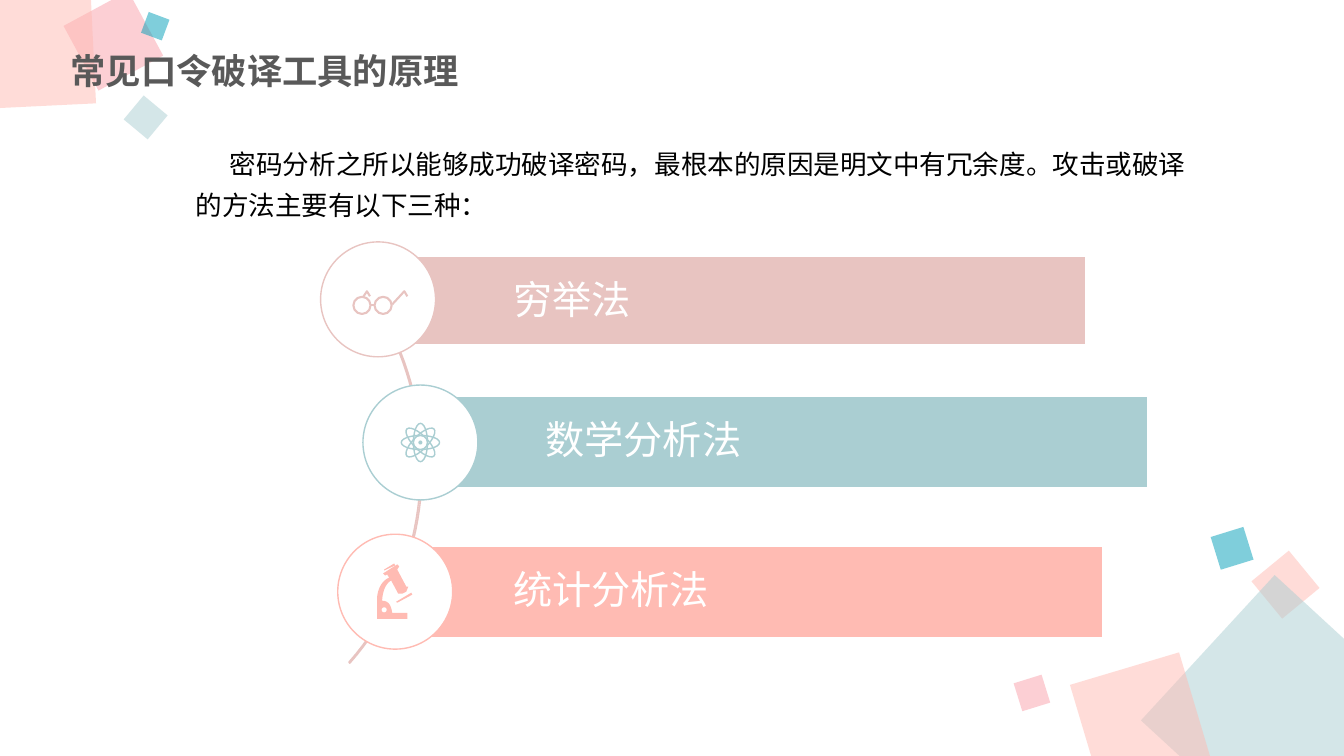
from lxml.etree import SubElement
from pptx import Presentation
from pptx.dml.color import RGBColor
from pptx.enum.shapes import MSO_CONNECTOR, MSO_SHAPE
from pptx.enum.text import MSO_ANCHOR
from pptx.oxml.ns import qn
from pptx.util import Inches, Pt

COLORS = {
    "rose": "E8C4C1", "teal": "AACED2", "coral": "FFBBB3", "pink": "FAA0AA",
    "blue": "009FB8", "title": "595959", "black": "000000", "white": "FFFFFF",
}


class SlidePainter:
    """Draws styled elements on one slide, with lengths in inches."""

    font = "Noto Sans CJK SC"

    def __init__(self, slide):
        self.shapes = slide.shapes

    def rgb(self, color):
        return RGBColor.from_string(COLORS[color])

    def paint(self, shape, fill=None, line=None, weight=1.0):
        shape.shadow.inherit = False
        if fill:
            shape.fill.solid()
            shape.fill.fore_color.rgb = self.rgb(fill)
        else:
            shape.fill.background()
        if line:
            shape.line.color.rgb = self.rgb(line)
            shape.line.width = Pt(weight)
        else:
            shape.line.fill.background()
        return shape

    def box(self, kind, left, top, width, height, fill=None, line=None, weight=1.0, turn=0):
        shape = self.shapes.add_shape(
            kind, Inches(left), Inches(top), Inches(width), Inches(height))
        shape.rotation = turn
        return self.paint(shape, fill, line, weight)

    def disc(self, x, y, radius, fill=None, line=None, weight=1.0):
        return self.box(MSO_SHAPE.OVAL, x - radius, y - radius,
                        2 * radius, 2 * radius, fill, line, weight)

    def confetti(self, left, top, side, turn, color):
        square = self.box(MSO_SHAPE.RECTANGLE, left, top, side, side, color, turn=turn)
        tint = square.fill._xPr.find(qn("a:solidFill"))[0]
        SubElement(tint, qn("a:alpha"), val="50000")

    def outline(self, points, fill=None, line=None, weight=1.0, close=True):
        corners = [(Inches(x), Inches(y)) for x, y in points]
        builder = self.shapes.build_freeform(*corners[0])
        builder.add_line_segments(corners[1:], close=close)
        return self.paint(builder.convert_to_shape(), fill, line, weight)

    def stroke(self, start, end, color, weight):
        line = self.shapes.add_connector(
            MSO_CONNECTOR.STRAIGHT, *(Inches(v) for v in (*start, *end)))
        line.line.color.rgb = self.rgb(color)
        line.line.width = Pt(weight)
        SubElement(line._element.spPr, qn("a:effectLst"))

    def text(self, words, left, top, width, height, size, color,
             spacing=1.3, bold=False, anchor=MSO_ANCHOR.TOP, indent=0):
        frame = self.shapes.add_textbox(
            Inches(left), Inches(top), Inches(width), Inches(height)).text_frame
        frame.word_wrap = True
        frame.vertical_anchor = anchor
        frame.margin_left = frame.margin_right = Inches(0.05)
        frame.margin_top = frame.margin_bottom = Inches(0.05)
        frame.text = words
        paragraph = frame.paragraphs[0]
        paragraph.line_spacing = spacing
        if indent:
            paragraph._p.get_or_add_pPr().set("indent", str(Inches(indent)))
        font = paragraph.runs[0].font
        font.name = self.font
        font.size = Pt(size)
        font.bold = bold
        font.color.rgb = self.rgb(color)
        SubElement(font._element, qn("a:ea"), typeface=self.font)


def bezier(start, pull_a, pull_b, end, steps=12):
    weights = [((1 - t) ** 3, 3 * t * (1 - t) ** 2, 3 * t * t * (1 - t), t ** 3)
               for t in (i / steps for i in range(steps + 1))]
    return [tuple(sum(w * p[axis] for w, p in zip(row, (start, pull_a, pull_b, end)))
                  for axis in (0, 1)) for row in weights]


def draw_glasses(painter, color):
    for lens_x in (3.59, 3.8):
        painter.disc(lens_x, 3.03, 0.085, line=color, weight=1.5)
    painter.stroke((3.68, 3.03), (3.71, 3.03), color, 1.5)
    for temple in ([(3.6, 2.95), (3.64, 2.89), (3.67, 2.94)],
                   [(3.89, 3.02), (4.01, 2.89), (4.04, 2.94)]):
        painter.outline(temple, line=color, weight=1.5, close=False)


def draw_atom(painter, color):
    for turn in range(0, 180, 45):
        painter.box(MSO_SHAPE.OVAL, 3.98, 4.32, 0.38, 0.14, line=color, turn=turn)
    painter.disc(4.17, 4.39, 0.07, fill="white", line=color)
    painter.disc(4.17, 4.39, 0.02, fill=color)


def draw_microscope(painter, color):
    eyepiece = [(3.81, 5.66), (3.92, 5.61), (3.91, 5.59), (3.81, 5.65)]
    stage = [(3.93, 5.97), (3.94, 5.98), (4.09, 5.9), (4.08, 5.88)]
    base = [(3.74, 6.14), (4.04, 6.14), (4.04, 6.08), (3.89, 6.08)]
    foot = bezier((3.89, 6.08), (3.88, 6), (3.85, 5.96), (3.79, 5.96))
    inner_arm = bezier((3.79, 5.96), (3.8, 5.81), (3.86, 5.77), (3.88, 5.76))
    tube = [(3.94, 5.87), (3.95, 5.89), (3.99, 5.89), (4.03, 5.87), (4.05, 5.82),
            (4.03, 5.82), (3.94, 5.65), (3.96, 5.62), (3.94, 5.6), (3.8, 5.69),
            (3.82, 5.71), (3.84, 5.7)]
    outer_arm = bezier((3.86, 5.73), (3.73, 5.79), (3.74, 5.96), (3.74, 5.96))
    for part in (eyepiece, base + foot + inner_arm + tube + outer_arm, stage):
        painter.outline(part, fill=color)
    painter.disc(3.81, 6.05, 0.025, fill="white")


CONFETTI = [
    (12.51, 5.56, 0.48, 320.6, "coral"), (11.72, 6.11, 1.96, 42.6, "teal"),
    (10.75, 6.61, 1.13, 343.4, "coral"), (10.09, 6.73, 0.29, 342.8, "pink"),
    (12.05, 5.27, 0.34, 342.8, "blue"), (0.76, 0.04, 0.73, 331.6, "pink"),
    (-0.46, -0.32, 1.38, 357.2, "coral"), (1.29, 1.01, 0.31, 309.8, "teal"),
    (1.43, 0.15, 0.22, 290.5, "blue"),
]

METHODS = [
    ("穷举法", "rose", (3.92, 2.54, 6.85, 0.88), (3.75, 2.97), 5.04, draw_glasses),
    ("数学分析法", "teal", (4.32, 3.93, 7.06, 0.91), (4.17, 4.39), 5.36, draw_atom),
    ("统计分析法", "coral", (4.19, 5.42, 6.75, 0.91), (3.92, 5.87), 5.04, draw_microscope),
]


def main():
    deck = Presentation()
    deck.slide_width, deck.slide_height = Inches(13.33), Inches(7.5)
    painter = SlidePainter(deck.slides.add_slide(deck.slide_layouts[6]))

    for square in CONFETTI:
        painter.confetti(*square)
    painter.text("常见口令破译工具的原理", 0.65, 0.36, 4.09, 0.72, 25.2, "title",
                 spacing=0.9, bold=True, anchor=MSO_ANCHOR.MIDDLE)
    painter.text("密码分析之所以能够成功破译密码，最根本的原因是明文中有冗余度。"
                 "攻击或破译的方法主要有以下三种：",
                 1.89, 1.32, 10.1, 0.93, 19, "black", indent=0.34)

    arc_outer = bezier((3.47, 2.67), (4.43, 3.75), (4.43, 5.5), (3.47, 6.58), 40)
    arc_inner = bezier((3.46, 6.57), (4.41, 5.5), (4.41, 3.75), (3.46, 2.68), 40)
    painter.outline(arc_outer + arc_inner, line="rose")

    for name, color, band, center, name_left, draw_icon in METHODS:
        painter.box(MSO_SHAPE.RECTANGLE, *band, fill=color, line="white")
        painter.disc(*center, 0.57, fill="white", line=color)
        draw_icon(painter, color)
        painter.text(name, name_left, band[1], 6.65, 0.71, 28, "white")

    deck.save("out.pptx")


if __name__ == "__main__":
    main()
